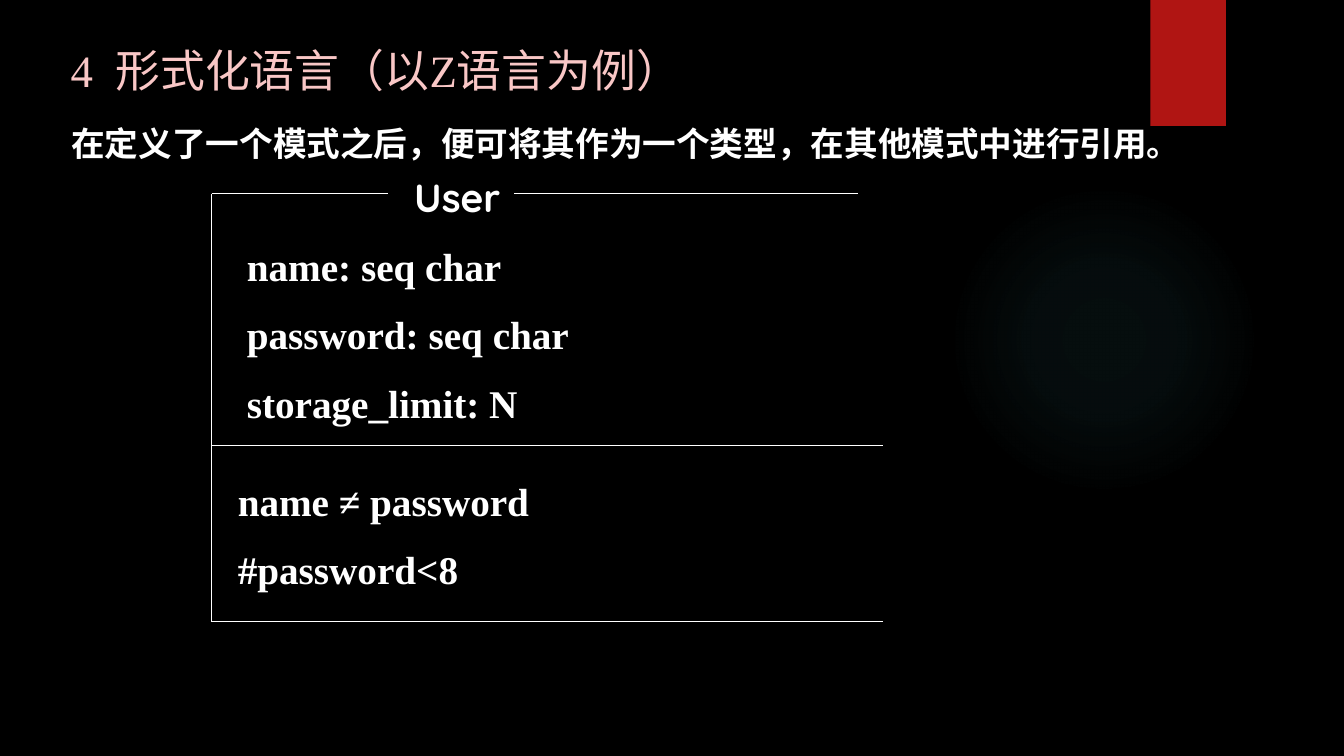
from lxml import etree
from pptx import Presentation
from pptx.dml.color import RGBColor
from pptx.enum.shapes import MSO_CONNECTOR, MSO_SHAPE
from pptx.enum.text import MSO_ANCHOR, PP_ALIGN
from pptx.oxml import parse_xml
from pptx.oxml.ns import nsdecls, qn
from pptx.util import Inches, Pt

STRAIGHT = MSO_CONNECTOR.STRAIGHT
OVAL, RECTANGLE = MSO_SHAPE.OVAL, MSO_SHAPE.RECTANGLE
TOP, MIDDLE = MSO_ANCHOR.TOP, MSO_ANCHOR.MIDDLE
LEFT = PP_ALIGN.LEFT

WHITE = "FFFFFF"
SERIF, SANS = "Times New Roman", "Quicksand"
GLOW_STOPS = [(0, 7), (36, 6), (69, 0)]

FRAME_LEFT, FRAME_RIGHT = 2.1, 8.76
FRAME_TOP, FRAME_DIVIDER, FRAME_BOTTOM = 1.92, 4.42, 6.17
FRAME_LINES = [
    (FRAME_LEFT, FRAME_TOP, FRAME_LEFT, FRAME_BOTTOM),
    (FRAME_LEFT, FRAME_TOP, 3.85, FRAME_TOP),
    (5.1, FRAME_TOP, 8.51, FRAME_TOP),
    (FRAME_LEFT, FRAME_DIVIDER, FRAME_RIGHT, FRAME_DIVIDER),
    (FRAME_LEFT, FRAME_BOTTOM, FRAME_RIGHT, FRAME_BOTTOM),
]


def colour(value):
    return RGBColor.from_string(value)


def write(box, lines, size, font, text_colour, bold=False, anchor=TOP, gap=0):
    frame = box.text_frame
    frame.word_wrap = True
    frame.vertical_anchor = anchor
    frame.text = "\n".join(lines)
    for para in frame.paragraphs:
        para.alignment = LEFT
        para.space_before = Pt(gap)
        for span in para.runs:
            span.font.size = Pt(size)
            span.font.name = font
            span.font.bold = bold
            span.font.color.rgb = colour(text_colour)


def add_text(shapes, place, lines, size, font, **style):
    box = shapes.add_textbox(*map(Inches, place))
    write(box, lines, size, font, WHITE, bold=True, **style)


def add_line(shapes, ends):
    line = shapes.add_connector(STRAIGHT, *map(Inches, ends))
    line.line.color.rgb = colour(WHITE)
    line.line.width = Pt(0.75)
    etree.SubElement(line._element.spPr, qn("a:effectLst"))


def add_plain_shape(page, kind, place, fill):
    shape = page.shapes.add_shape(kind, *map(Inches, place))
    shape.shadow.inherit = False
    shape.fill.solid()
    shape.fill.fore_color.rgb = colour(fill)
    shape.line.fill.background()
    return shape


def add_glow(page, place, fill):
    glow = add_plain_shape(page, OVAL, place, fill)
    stops = "".join(
        f'<a:gs pos="{position * 1000}"><a:srgbClr val="{fill}">'
        f'<a:alpha val="{opacity * 1000}"/></a:srgbClr></a:gs>'
        for position, opacity in GLOW_STOPS
    )
    gradient = parse_xml(
        f'<a:gradFill {nsdecls("a")}><a:gsLst>{stops}</a:gsLst>'
        '<a:path path="circle"><a:fillToRect l="50000" t="50000" '
        'r="50000" b="50000"/></a:path></a:gradFill>'
    )
    properties = glow._element.spPr
    properties.replace(properties.find(qn("a:solidFill")), gradient)


def add_title(page, place, text):
    title = page.shapes.title
    title.left, title.top, title.width, title.height = map(Inches, place)
    write(title, [text], 32, SERIF, "F9C7C6")


def add_schema(page):
    shapes = page.shapes.add_group_shape().shapes
    for ends in FRAME_LINES:
        add_line(shapes, ends)
    add_text(shapes, (4.01, 1.67, 1.2, 0.57), ["User"], 28, SANS)
    declarations = ["name: seq char", "password: seq char", "storage_limit: N"]
    add_text(shapes, (2.35, 2.33, 5.75, 1.97), declarations, 28, SERIF,
             anchor=MIDDLE, gap=15.5)
    predicates = ["name ≠ password", "#password<8"]
    add_text(shapes, (2.26, 4.67, 4.92, 1.27), predicates, 28, SERIF,
             anchor=MIDDLE, gap=15.5)


def main():
    deck = Presentation()
    deck.slide_width, deck.slide_height = Inches(13.33), Inches(7.5)
    page = deck.slides.add_slide(deck.slide_layouts[5])
    page.background.fill.solid()
    page.background.fill.fore_color.rgb = colour("000000")
    add_glow(page, (9.41, 1.83, 3.08, 3.08), "50B9C1")
    add_plain_shape(page, RECTANGLE, (11.41, 0, 0.75, 1.25), "B01513")
    add_title(page, (0.6, 0.37, 11.18, 0.96), "4  形式化语言（以Z语言为例）")
    add_text(page.shapes, (0.61, 1.17, 11.41, 0.6),
             ["在定义了一个模式之后，便可将其作为一个类型，在其他模式中进行引用。"], 24, SANS)
    add_schema(page)
    deck.save("out.pptx")


if __name__ == "__main__":
    main()
